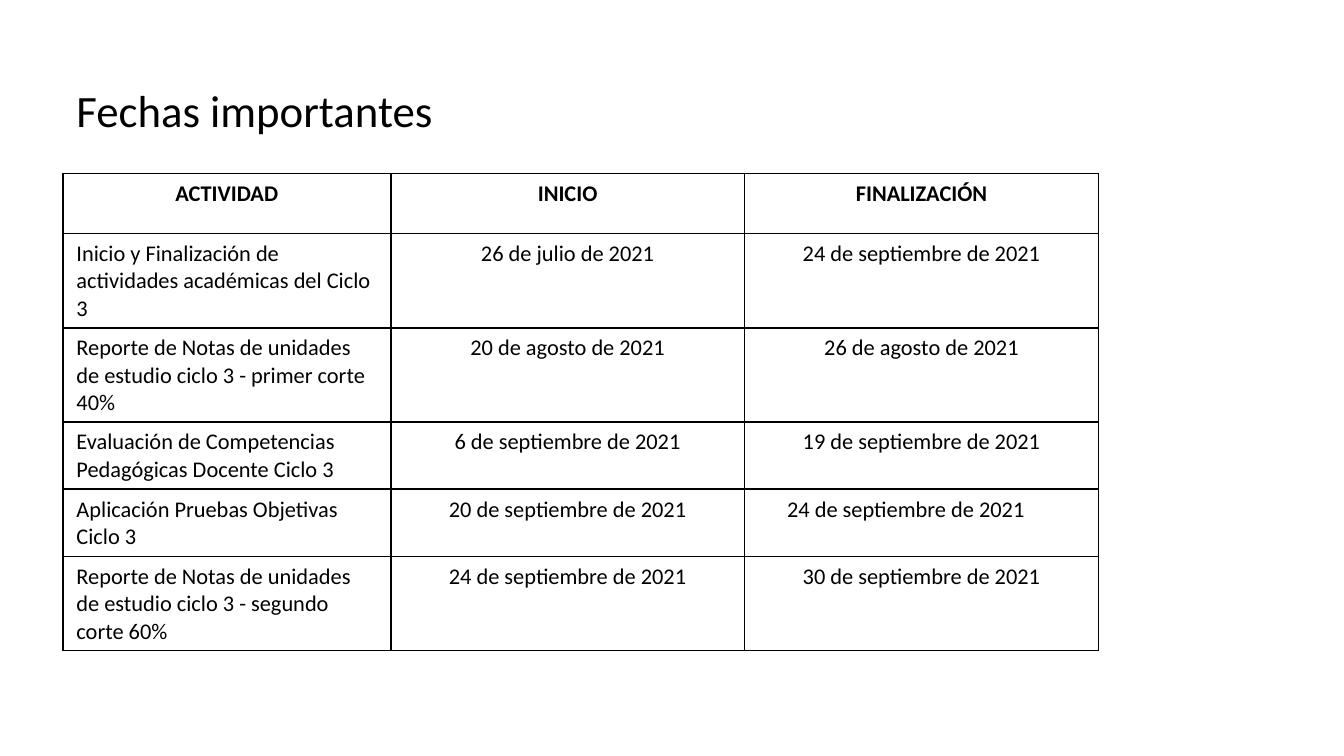
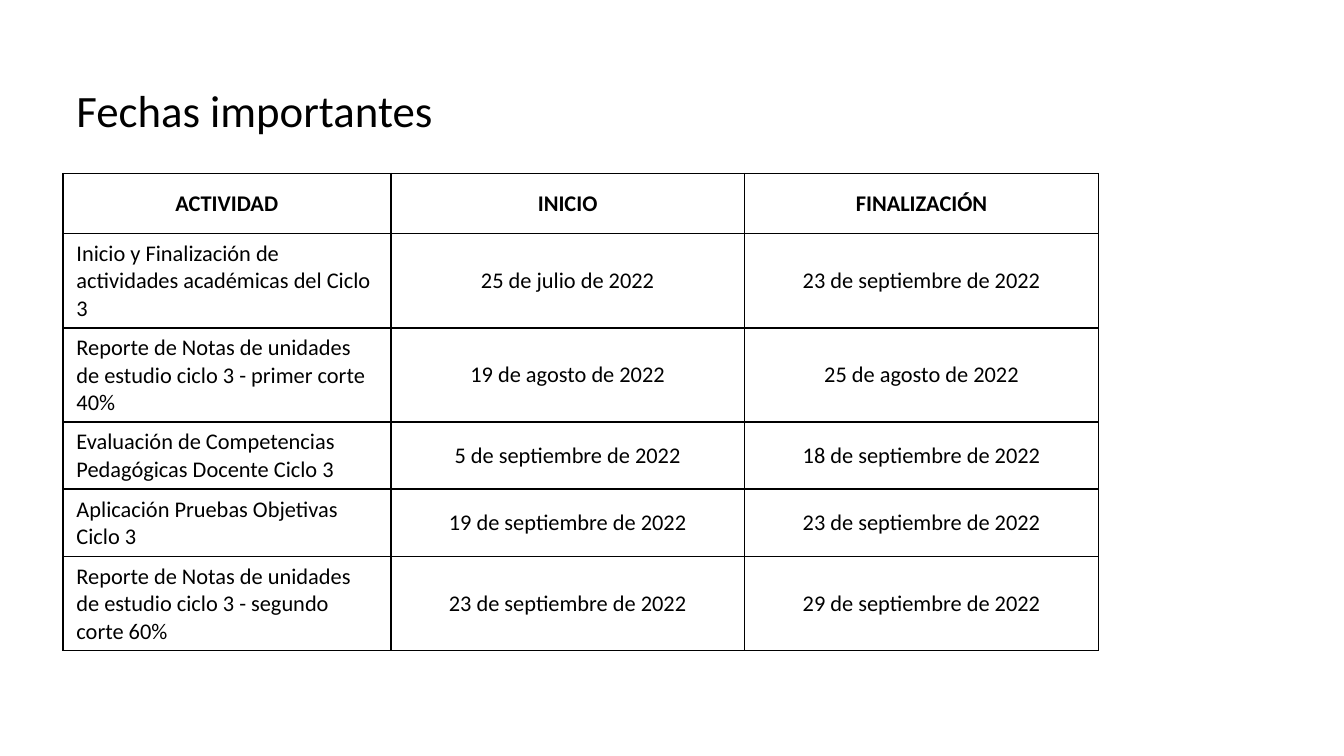
from lxml import etree
from pptx import Presentation
from pptx import util as u
from pptx.dml.color import RGBColor
from pptx.enum import text
from pptx.oxml.ns import qn

COLORS = {"ink": "000000", "paper": "FFFFFF"}
FONT = "Calibri"
HEADERS = ["ACTIVIDAD", "INICIO", "FINALIZACIÓN"]
ACTIVITIES = [
    "Inicio y Finalización de actividades académicas del Ciclo 3",
    "Reporte de Notas de unidades de estudio ciclo 3 - primer corte 40%",
    "Evaluación de Competencias Pedagógicas Docente Ciclo 3",
    "Aplicación Pruebas Objetivas Ciclo 3",
    "Reporte de Notas de unidades de estudio ciclo 3 - segundo corte 60%",
]
LEFT = 33.75
COL_WIDTHS = [175.6, 189.6, 189.6]
ROW_HEIGHTS = [32.2, 50.4, 50.4, 36, 36, 50.4]

# Year, vertical anchor, (start, end) of each activity
CALENDARS = [
    (2021, text.MSO_ANCHOR.TOP, [
        ("26 de julio", "24 de septiembre"),
        ("20 de agosto", "26 de agosto"),
        ("6 de septiembre", "19 de septiembre"),
        ("20 de septiembre", "24 de septiembre"),
        ("24 de septiembre", "30 de septiembre"),
    ]),
    (2022, text.MSO_ANCHOR.MIDDLE, [
        ("25 de julio", "23 de septiembre"),
        ("19 de agosto", "25 de agosto"),
        ("5 de septiembre", "18 de septiembre"),
        ("19 de septiembre", "23 de septiembre"),
        ("23 de septiembre", "29 de septiembre"),
    ]),
]


def write(tf, content, size, align, bold=False):
    tf.text = content
    p = tf.paragraphs[0]
    p.alignment = align
    p.font.name = FONT
    p.font.size = u.Pt(size)
    p.font.bold = bold
    p.font.color.rgb = RGBColor.from_string(COLORS["ink"])


def add_borders(cell):
    tc_pr = cell._tc.get_or_add_tcPr()
    for i, side in enumerate(("lnL", "lnR", "lnT", "lnB")):
        ln = etree.Element(qn(f"a:{side}"), w=str(u.Pt(1)))
        fill = etree.SubElement(ln, qn("a:solidFill"))
        etree.SubElement(fill, qn("a:srgbClr"), val=COLORS["ink"])
        tc_pr.insert(i, ln)


prs = Presentation()
prs.slide_width, prs.slide_height = u.Pt(720), u.Pt(405)

for year, anchor, dates in CALENDARS:
    s = prs.slides.add_slide(prs.slide_layouts[5])
    s.background.fill.solid()
    s.background.fill.fore_color.rgb = RGBColor.from_string(COLORS["paper"])

    # Title
    title = s.shapes.title
    title.left, title.top = u.Pt(LEFT), u.Pt(40.5)
    title.width, title.height = u.Pt(363.6), u.Pt(36)
    tf = title.text_frame
    tf.word_wrap = True
    tf.auto_size = text.MSO_AUTO_SIZE.SHAPE_TO_FIT_TEXT
    tf.vertical_anchor = text.MSO_ANCHOR.TOP
    write(tf, "Fechas importantes", 24, text.PP_ALIGN.LEFT)

    # Table of dates
    rows = [HEADERS]
    for activity, (start, end) in zip(ACTIVITIES, dates):
        rows.append([activity, f"{start} de {year}", f"{end} de {year}"])
    table = s.shapes.add_table(
        len(rows), len(HEADERS), u.Pt(LEFT), u.Pt(93),
        u.Pt(sum(COL_WIDTHS)), u.Pt(sum(ROW_HEIGHTS))).table
    table.first_row = table.horz_banding = False
    for column, width in zip(table.columns, COL_WIDTHS):
        column.width = u.Pt(width)
    for row, height in zip(table.rows, ROW_HEIGHTS):
        row.height = u.Pt(height)

    for r, values in enumerate(rows):
        for c, value in enumerate(values):
            cell = table.cell(r, c)
            cell.fill.background()
            cell.vertical_anchor = anchor
            is_activity = r > 0 and c == 0
            align = text.PP_ALIGN.LEFT if is_activity else text.PP_ALIGN.CENTER
            write(cell.text_frame, value, 12, align, bold=r == 0)
            add_borders(cell)

    # The 2021 end date of the tests sits slightly left of centre
    if year == 2021:
        table.cell(4, 2).margin_right = u.Pt(24)

prs.save("out.pptx")
